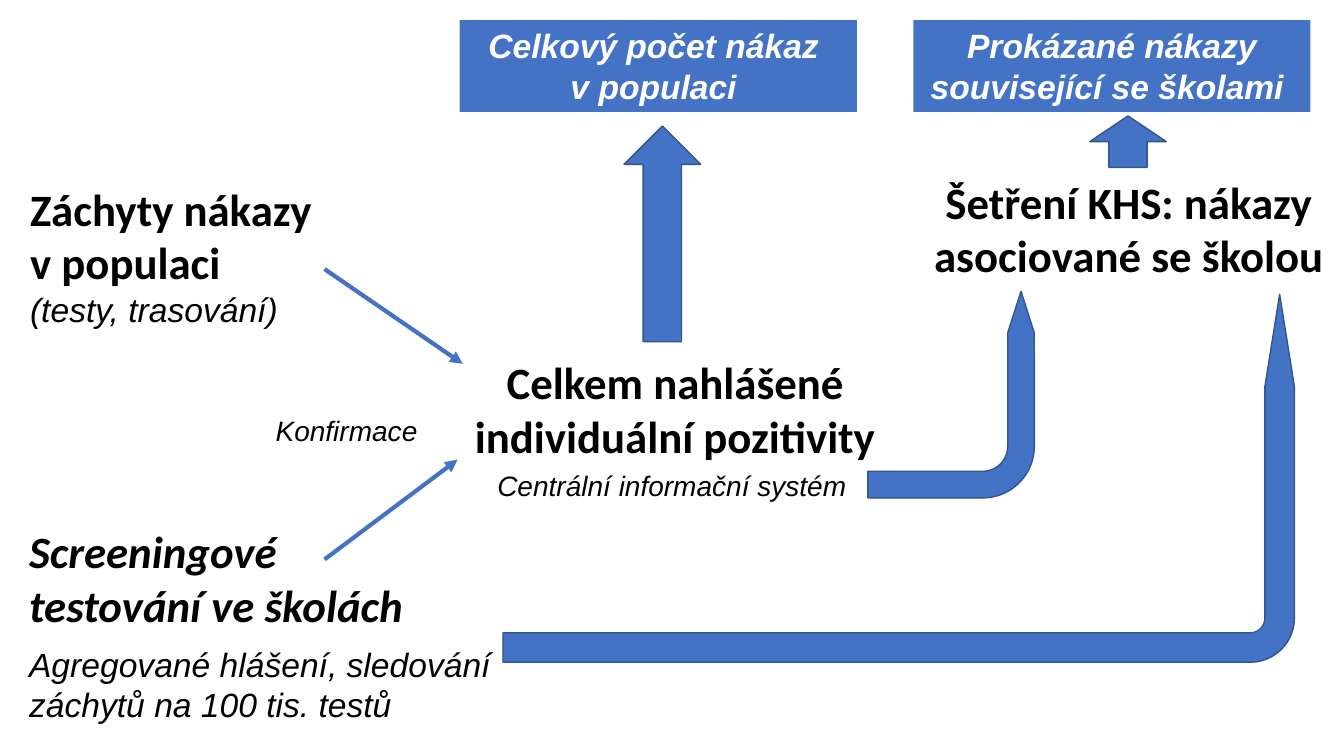
from dataclasses import dataclass
from pptx import Presentation
from pptx.dml.color import RGBColor as Rgb
from pptx.enum.shapes import MSO_CONNECTOR as Conn, MSO_SHAPE as Kind
from pptx.enum.text import MSO_ANCHOR as Anchor, MSO_AUTO_SIZE as Auto, PP_ALIGN as Align
from pptx.oxml.ns import qn
from pptx.util import Inches, Pt
from lxml.etree import SubElement


@dataclass(frozen=True)
class Theme:
    blue: Rgb = Rgb(0x44, 0x72, 0xC4)
    edge: Rgb = Rgb(0x32, 0x54, 0x91)
    black: Rgb = Rgb(0, 0, 0)
    white: Rgb = Rgb(255, 255, 255)
    head: str = "Calibri"
    body: str = "Arial"
    large: int = 32
    mid: int = 24
    small: int = 20


T = Theme()
WIDE, HIGH = Inches(13.33), Inches(7.5)

# Text formats
HEAD = dict(name=T.head, size=Pt(T.large), bold=True, italic=False, color=T.black)
SLANT = {**HEAD, "italic": True}
NOTE = dict(name=T.body, size=Pt(T.mid), bold=False, italic=True, color=T.black)
SMALL = {**NOTE, "size": Pt(T.small)}
LABEL = {**NOTE, "bold": True, "color": T.white}


# Lengths are percent of the slide: 100 columns by 100 rows
def col(n):
    return round(WIDE * n / 100)


def row(n):
    return round(HIGH * n / 100)


def place(box, x, y, w, h):
    return col(box[0] + x), row(box[1] + y), col(w), row(h)


def write(frame, lines, align):
    frame.word_wrap = True
    frame.auto_size = Auto.SHAPE_TO_FIT_TEXT
    for i, (text, style) in enumerate(lines):
        para = frame.paragraphs[0] if i == 0 else frame.add_paragraph()
        para.alignment = align
        run = para.add_run()
        run.text = text
        for key, value in style.items():
            if key == "color":
                run.font.color.rgb = value
            else:
                setattr(run.font, key, value)


def label(slide, area, lines, align=Align.LEFT):
    write(slide.shapes.add_textbox(*area).text_frame, lines, align)


def solid(slide, kind, area, edge=True):
    shape = slide.shapes.add_shape(kind, *area)
    shape.shadow.inherit = False
    shape.fill.solid()
    shape.fill.fore_color.rgb = T.blue
    if edge:
        shape.line.color.rgb = T.edge
        shape.line.width = Pt(1)
    else:
        shape.line.fill.background()
    return shape


def banner(slide, area, lines):
    frame = solid(slide, Kind.RECTANGLE, area, edge=False).text_frame
    frame.vertical_anchor = Anchor.TOP
    write(frame, [(line, LABEL) for line in lines], Align.CENTER)


def rise(slide, area):
    solid(slide, Kind.DOWN_ARROW, area).rotation = 180


def bend(slide, area, shares):
    # A quarter turn swaps the sides around the same centre
    x, y, w, h = area
    turned = x + (w - h) // 2, y + (h - w) // 2, h, w
    shape = solid(slide, Kind.BENT_ARROW, turned)
    for i, share in enumerate(shares):
        shape.adjustments[i] = share
    shape.rotation = 90
    shape._element.spPr.find(qn("a:xfrm")).set("flipH", "1")


def link(slide, box, x1, y1, x2, y2):
    ends = col(box[0] + x1), row(box[1] + y1), col(box[0] + x2), row(box[1] + y2)
    line = slide.shapes.add_connector(Conn.STRAIGHT, *ends)
    line.line.color.rgb = T.blue
    line.line.width = Pt(3)
    props = line._element.spPr
    SubElement(props.find(qn("a:ln")), qn("a:tailEnd"), type="triangle")
    SubElement(props, qn("a:effectLst"))


# Left: where the findings come from
def intake(slide, box):
    label(slide, place(box, 0.07, 0, 32.7, 21.07),
          [("Záchyty nákazy", HEAD), ("v populaci", HEAD), ("(testy, trasování)", NOTE)])
    label(slide, place(box, 14.92, 30.67, 15.45, 5.87), [("Konfirmace", SMALL)], Align.RIGHT)
    label(slide, place(box, 0, 45.34, 29.85, 15.73),
          [("Screeningové testování ve školách", SLANT)])
    label(slide, place(box, 0, 61.2, 38.33, 12.13),
          [("Agregované hlášení, sledování záchytů na 100 tis. testů", NOTE)])
    link(slide, box, 22.72, 12.27, 33, 24.8)
    link(slide, box, 22.72, 50.67, 32.62, 37.47)


# Middle: all reported cases
def total(slide, box):
    banner(slide, place(box, 0.3, 0, 29.55, 12.13), ["Celkový počet nákaz ", "v populaci "])
    rise(slide, place(box, 12.53, 14, 5.7, 28.53))
    label(slide, place(box, 0, 43.6, 32.7, 15.73),
          [("Celkem nahlášené individuální pozitivity", HEAD)], Align.CENTER)
    label(slide, place(box, 1.43, 58.66, 29.33, 5.87),
          [("Centrální informační systém", SMALL)], Align.CENTER)


# Right: cases tied to schools
def school(slide, box):
    banner(slide, place(box, 0, 0, 29.55, 12.13), ["Prokázané nákazy související se školami "])
    rise(slide, place(box, 13.13, 12.66, 5.7, 6.8))
    label(slide, place(box, 0, 19.73, 32.1, 15.73),
          [("Šetření KHS: nákazy asociované se školou", HEAD)], Align.CENTER)


# Bent arrows leading to the school survey
def routes(slide, box):
    bend(slide, place(box, 27.15, 0, 12.38, 27.33), (0.22, 0.08, 0.25, 0.31))
    bend(slide, place(box, 0, 0.4, 58.88, 48.67), (0.34, 0.04, 0.25, 0.12))


def main():
    deck = Presentation()
    deck.slide_width, deck.slide_height = WIDE, HIGH
    slide = deck.slides.add_slide(deck.slide_layouts[6])
    routes(slide, (37.43, 38.53))
    intake(slide, (1.43, 23.33))
    total(slide, (33.9, 2.67))
    school(slide, (67.95, 2.67))
    deck.save("out.pptx")


if __name__ == "__main__":
    main()
